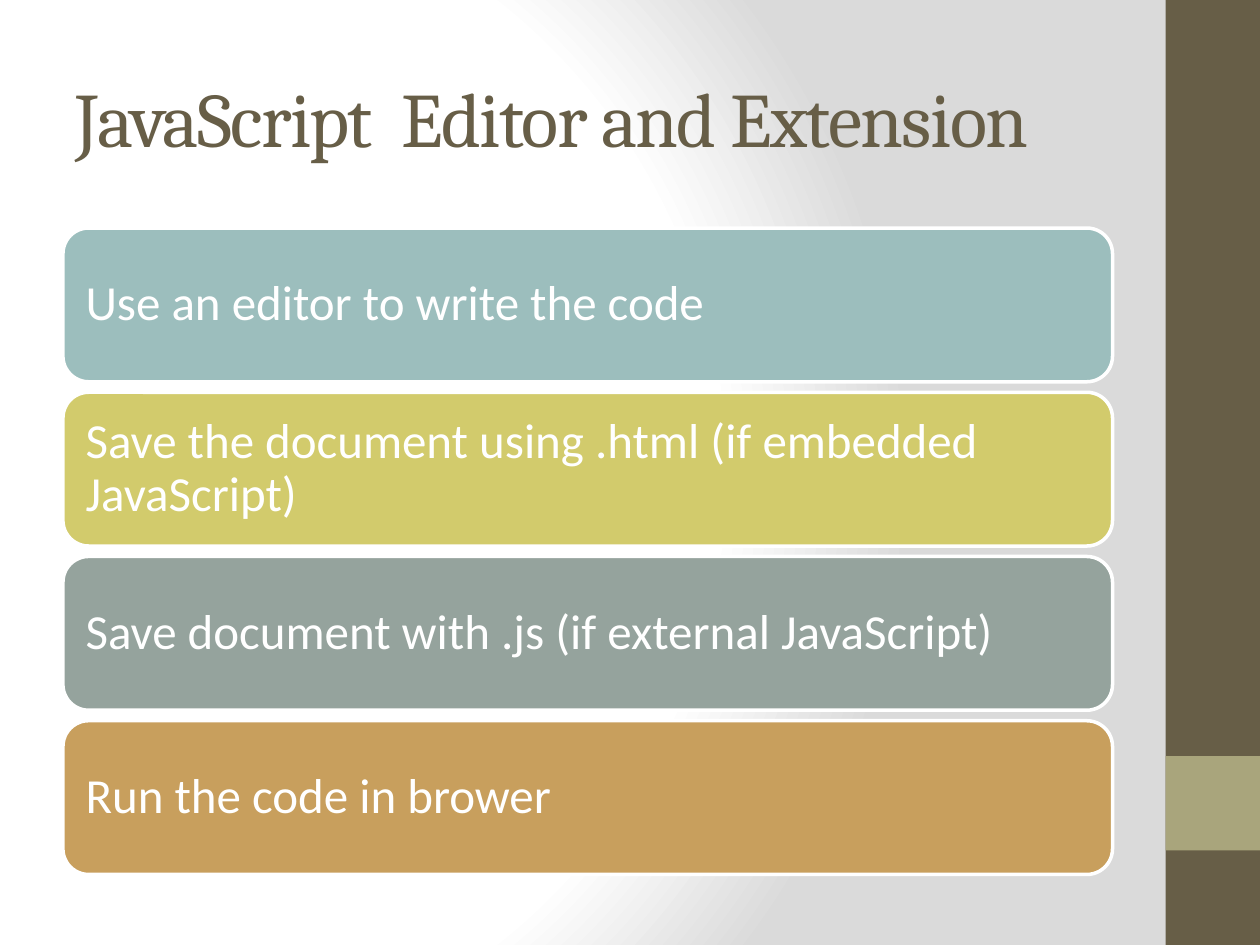
from lxml import etree
from pptx import Presentation
from pptx.dml.color import RGBColor
from pptx.enum.shapes import MSO_SHAPE as SHAPE
from pptx.enum.text import MSO_ANCHOR as ANCHOR, PP_ALIGN as ALIGN
from pptx.oxml import parse_xml
from pptx.oxml.ns import nsdecls, qn
from pptx.util import Inches, Pt

BROWN = RGBColor(0x67, 0x5E, 0x47)
OLIVE = RGBColor(0xA9, 0xA5, 0x7C)
WHITE = RGBColor(0xFF, 0xFF, 0xFF)
TEAL = RGBColor(0x9C, 0xBE, 0xBD)
LIME = RGBColor(0xD2, 0xCB, 0x6C)
SAGE = RGBColor(0x95, 0xA3, 0x9D)
OCHRE = RGBColor(0xC8, 0x9F, 0x5D)

TITLE = "JavaScript  Editor and Extension"
STEPS = [
    ("Use an editor to write the code", TEAL),
    ("Save the document using .html (if embedded JavaScript)", LIME),
    ("Save document with .js (if external JavaScript)", SAGE),
    ("Run the code in brower", OCHRE),
]
BACKDROP = [(0, "FFFFFF"), (75, "FFFFFF"), (100, "DADADA")]

WIDTH, HEIGHT = 10, 7.5
BAND = 0.75
LEFT, COLUMN = 0.5, 8.33
FIRST_TOP, LAST_TOP, STEP_HEIGHT = 1.81, 5.72, 1.22
INSET = 0.12


def set_backdrop(s):
    """Fill the background with a circular gradient."""
    s.background.fill.gradient()
    old = s.background._cSld.find(".//" + qn("a:gradFill"))
    stops = "".join(
        f'<a:gs pos="{pos * 1000}"><a:srgbClr val="{color}"/></a:gs>'
        for pos, color in BACKDROP)
    old.getparent().replace(old, parse_xml(
        f'<a:gradFill rotWithShape="1" {nsdecls("a")}><a:gsLst>{stops}</a:gsLst>'
        '<a:path path="circle"><a:fillToRect l="20000" t="50000" r="100000" b="50000"/>'
        '</a:path></a:gradFill>'))


def add_box(s, kind, left, top, width, height, color):
    sp = s.shapes.add_shape(kind, *map(Inches, (left, top, width, height)))
    sp.shadow.inherit = False
    sp.fill.solid()
    sp.fill.fore_color.rgb = color
    sp.line.fill.background()
    return sp


def write(sp, text, font, size, color):
    tf = sp.text_frame
    tf.text = text
    tf.word_wrap = True
    tf.vertical_anchor = ANCHOR.MIDDLE
    p = tf.paragraphs[0]
    p.alignment = ALIGN.LEFT
    r = p.runs[0]
    r.font.name, r.font.size = font, Pt(size)
    r.font.color.rgb = color
    return tf


def add_title(s):
    sp = s.shapes.add_textbox(*map(Inches, (LEFT, 0.3, COLUMN, 1.25)))
    tf = write(sp, TITLE, "Cambria", 44, BROWN)
    tf.paragraphs[0].runs[0].font._element.set("spc", "-100")


def add_steps(s):
    pitch = (LAST_TOP - FIRST_TOP) / (len(STEPS) - 1)
    for i, (text, color) in enumerate(STEPS):
        sp = add_box(s, SHAPE.ROUNDED_RECTANGLE, LEFT, FIRST_TOP + i * pitch,
                     COLUMN, STEP_HEIGHT, color)
        sp.line.color.rgb = WHITE
        sp.line.width = Pt(2)
        tf = write(sp, text, "Calibri", 28, WHITE)
        tf.margin_left = tf.margin_right = Inches(INSET)
        tf.margin_top = tf.margin_bottom = Inches(INSET)
        tf.paragraphs[0].line_spacing = 0.9


def main():
    prs = Presentation()
    prs.slide_width, prs.slide_height = Inches(WIDTH), Inches(HEIGHT)
    s = prs.slides.add_slide(prs.slide_layouts[6])
    set_backdrop(s)
    add_box(s, SHAPE.RECTANGLE, WIDTH - BAND, 0, BAND, HEIGHT, BROWN)
    add_box(s, SHAPE.RECTANGLE, WIDTH - BAND, HEIGHT - 2 * BAND, BAND, BAND, OLIVE)
    add_title(s)
    add_steps(s)
    prs.save("out.pptx")


if __name__ == "__main__":
    main()
